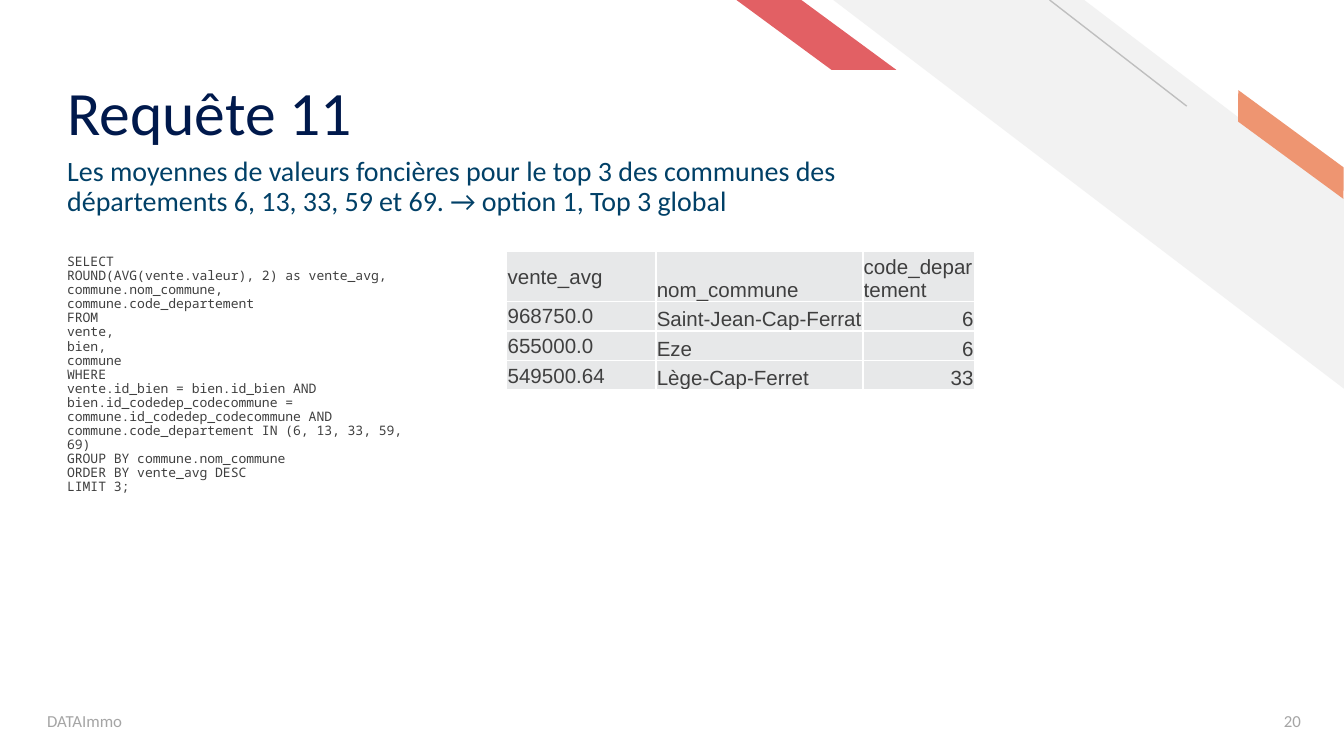
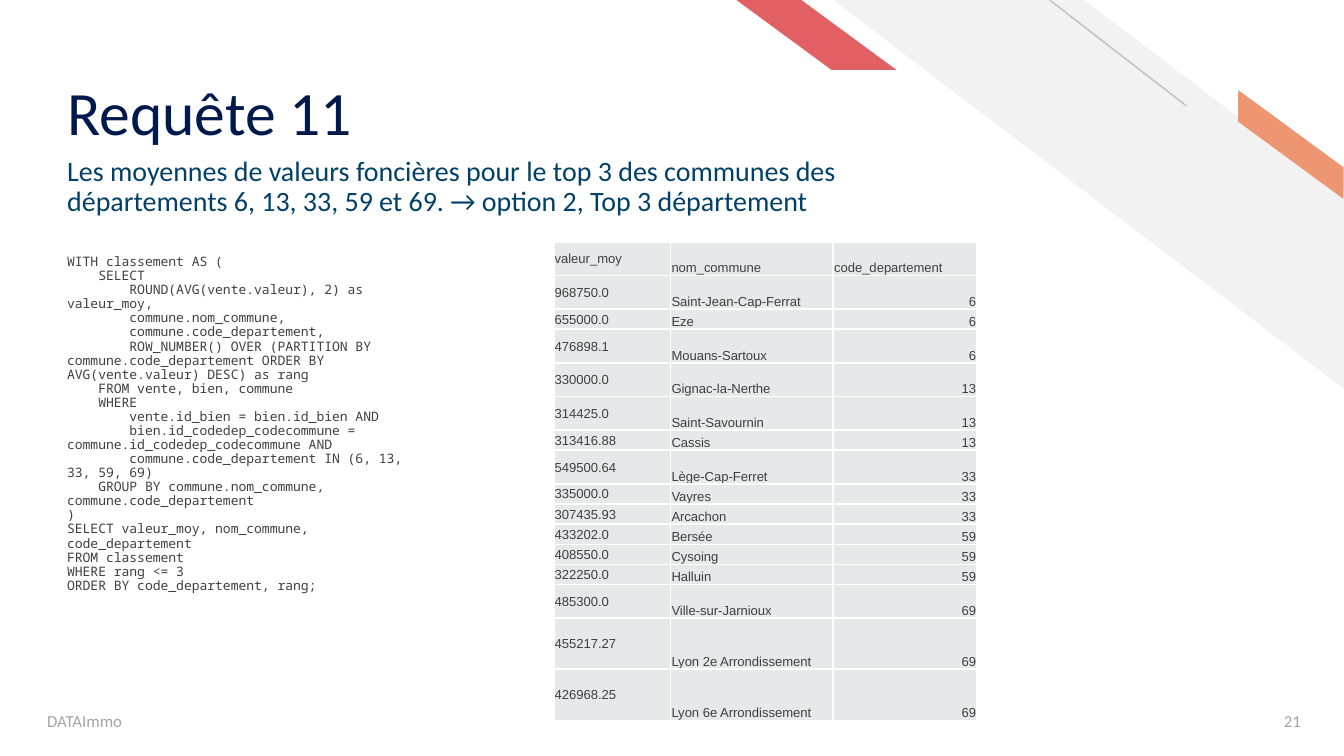
from pptx import Presentation
from pptx.dml.color import RGBColor
from pptx.enum.shapes import MSO_CONNECTOR as Link, MSO_SHAPE as Form
from pptx.enum.text import MSO_ANCHOR as Anchor, PP_ALIGN as Align
from pptx.oxml import parse_xml
from pptx.oxml.ns import nsdecls, qn
from pptx.util import Inches, Pt

# Content
TITLE = "Requête 11"
FOOTER = "DATAImmo"
LEAD = ("Les moyennes de valeurs foncières pour le top 3 des communes des "
        "départements 6, 13, 33, 59 et 69. → option ")

GLOBAL_SQL = """SELECT
ROUND(AVG(vente.valeur), 2) as vente_avg,
commune.nom_commune,
commune.code_departement
FROM
vente,
bien,
commune
WHERE
vente.id_bien = bien.id_bien AND
bien.id_codedep_codecommune = commune.id_codedep_codecommune AND
commune.code_departement IN (6, 13, 33, 59, 69)
GROUP BY commune.nom_commune
ORDER BY vente_avg DESC
LIMIT 3;"""

RANK_SQL = """WITH classement AS (
    SELECT
        ROUND(AVG(vente.valeur), 2) as valeur_moy,
        commune.nom_commune,
        commune.code_departement,
        ROW_NUMBER() OVER (PARTITION BY commune.code_departement ORDER BY AVG(vente.valeur) DESC) as rang
    FROM vente, bien, commune
    WHERE
        vente.id_bien = bien.id_bien AND
        bien.id_codedep_codecommune = commune.id_codedep_codecommune AND
        commune.code_departement IN (6, 13, 33, 59, 69)
    GROUP BY commune.nom_commune, commune.code_departement
)
SELECT valeur_moy, nom_commune, code_departement
FROM classement
WHERE rang <= 3
ORDER BY code_departement, rang;"""

# Table rows: height, then the cells
LOW, MID, TALL = 0.15, 0.25, 0.38
GLOBAL_ROWS = [
    (0.22, "vente_avg", "nom_commune", "code_departement"),
    (0.22, "968750.0", "Saint-Jean-Cap-Ferrat", "6"),
    (0.22, "655000.0", "Eze", "6"),
    (0.22, "549500.64", "Lège-Cap-Ferret", "33"),
]
RANK_ROWS = [
    (MID, "valeur_moy", "nom_commune", "code_departement"),
    (MID, "968750.0", "Saint-Jean-Cap-Ferrat", "6"),
    (LOW, "655000.0", "Eze", "6"),
    (MID, "476898.1", "Mouans-Sartoux", "6"),
    (MID, "330000.0", "Gignac-la-Nerthe", "13"),
    (MID, "314425.0", "Saint-Savournin", "13"),
    (LOW, "313416.88", "Cassis", "13"),
    (MID, "549500.64", "Lège-Cap-Ferret", "33"),
    (LOW, "335000.0", "Vayres", "33"),
    (LOW, "307435.93", "Arcachon", "33"),
    (LOW, "433202.0", "Bersée", "59"),
    (LOW, "408550.0", "Cysoing", "59"),
    (LOW, "322250.0", "Halluin", "59"),
    (MID, "485300.0", "Ville-sur-Jarnioux", "69"),
    (TALL, "455217.27", "Lyon 2e Arrondissement", "69"),
    (TALL, "426968.25", "Lyon 6e Arrondissement", "69"),
]
PAGES = [
    dict(num=20, lead="1, Top 3 global", sql=GLOBAL_SQL, tall=1.98,
         rows=GLOBAL_ROWS, spot=(3.77, 1.87), cols=(1.11, 1.54, 0.83), size=11),
    dict(num=21, lead="2, Top 3 département", sql=RANK_SQL, tall=2.76,
         rows=RANK_ROWS, spot=(4.12, 1.8), cols=(0.87, 1.21, 1.07), size=7),
]

# Shared look
NAVY, TEAL, INK, MUTED = "00194C", "014067", "3F3F3F", "A5A5A5"
PALE, CORAL, PEACH, RULE = "F2F2F2", "E26064", "EE9571", "BFBFBF"
CELL, WHITE = "E7E8E9", "FFFFFF"
SANS, MONO, GRID = "Calibri", "Noto Sans Mono", "Arial"


def color(code):
    return RGBColor.from_string(code)


def style(para, size, face, ink, align=Align.LEFT):
    para.alignment = align
    for run in para.runs:
        run.font.size = Pt(size)
        run.font.name = face
        run.font.color.rgb = color(ink)


def write(slide, box, text, size, face, ink, anchor=Anchor.TOP,
          align=Align.LEFT, space=None, foot=0.04):
    frame = slide.shapes.add_textbox(*map(Inches, box)).text_frame
    frame.word_wrap = True
    frame.vertical_anchor = anchor
    frame.margin_left = frame.margin_right = Inches(0.07)
    frame.margin_top, frame.margin_bottom = Inches(0.04), Inches(foot)
    frame.text = text
    for para in frame.paragraphs:
        para.line_spacing = space
        style(para, size, face, ink, align)


def band(slide, form, box, bend, fill, turn=0):
    shape = slide.shapes.add_shape(form, *map(Inches, box))
    shape.shadow.inherit = False
    shape.adjustments[0] = bend
    shape.rotation = turn
    shape.fill.solid()
    shape.fill.fore_color.rgb = color(fill)
    shape.line.fill.background()
    shape.element.spPr.find(qn("a:xfrm")).set("flipH", "1")


def decor(slide):
    band(slide, Form.DIAGONAL_STRIPE, (6.2, 0, 3.81, 2.9), 0.51, PALE)
    line = slide.shapes.add_connector(
        Link.STRAIGHT, *map(Inches, (8.83, 0.79, 7.81, 0)))
    line.line.color.rgb = color(RULE)
    line.line.width = Pt(0.75)
    line.element.spPr.append(parse_xml(f"<a:effectLst {nsdecls('a')}/>"))
    band(slide, Form.PARALLELOGRAM, (9.05, 0.98, 1.11, 0.19), 0.72, PEACH, 36.3)
    band(slide, Form.PARALLELOGRAM, (5.48, 0, 1.19, 0.52), 1.36, CORAL)


def edge(cell):
    """Put a thin white border ahead of the cell fill."""
    props = cell._tc.get_or_add_tcPr()
    for spot, side in enumerate("LRTB"):
        props.insert(spot, parse_xml(
            f'<a:ln{side} {nsdecls("a")} w="{Pt(1)}"><a:solidFill>'
            f'<a:srgbClr val="{WHITE}"/></a:solidFill></a:ln{side}>'))


def table(slide, rows, spot, cols, size):
    box = (*spot, sum(cols), sum(row[0] for row in rows))
    grid = slide.shapes.add_table(
        len(rows), len(cols), *map(Inches, box)).table
    grid.first_row = grid.horz_banding = False
    for col, wide in zip(grid.columns, cols):
        col.width = Inches(wide)
    for r, (high, *texts) in enumerate(rows):
        grid.rows[r].height = Inches(high)
        for c, text in enumerate(texts):
            cell = grid.cell(r, c)
            cell.text = text
            cell.margin_left = cell.margin_right = Pt(0.5)
            cell.margin_top, cell.margin_bottom = Pt(0.5), 0
            cell.vertical_anchor = Anchor.BOTTOM if c else Anchor.MIDDLE
            cell.fill.solid()
            cell.fill.fore_color.rgb = color(CELL)
            edge(cell)
            style(cell.text_frame.paragraphs[0], size, GRID, INK,
                  Align.RIGHT if r and c == 2 else Align.LEFT)


def build(deck, page):
    slide = deck.slides.add_slide(deck.slide_layouts[6])
    decor(slide)
    # Title and footer
    write(slide, (0.43, 0.17, 6.83, 0.94), TITLE, 33, SANS, NAVY,
          Anchor.BOTTOM, space=0.9, foot=0)
    write(slide, (0.28, 5.21, 3.38, 0.3), FOOTER, 9, SANS, MUTED, Anchor.MIDDLE)
    write(slide, (9.14, 5.21, 0.61, 0.3), str(page["num"]), 9, SANS, MUTED,
          Anchor.MIDDLE, Align.RIGHT)
    # Question, query and result
    write(slide, (0.43, 1.13, 6.04, 0.5), LEAD + page["lead"], 15, SANS, TEAL,
          space=0.9)
    write(slide, (0.43, 1.86, 2.77, page["tall"]), page["sql"], 7, MONO, INK,
          space=0.9)
    table(slide, page["rows"], page["spot"], page["cols"], page["size"])


def main():
    deck = Presentation()
    # Widescreen, 16 by 9
    deck.slide_width = Inches(10)
    deck.slide_height = deck.slide_width * 9 // 16
    for page in PAGES:
        build(deck, page)
    deck.save("out.pptx")


if __name__ == "__main__":
    main()
